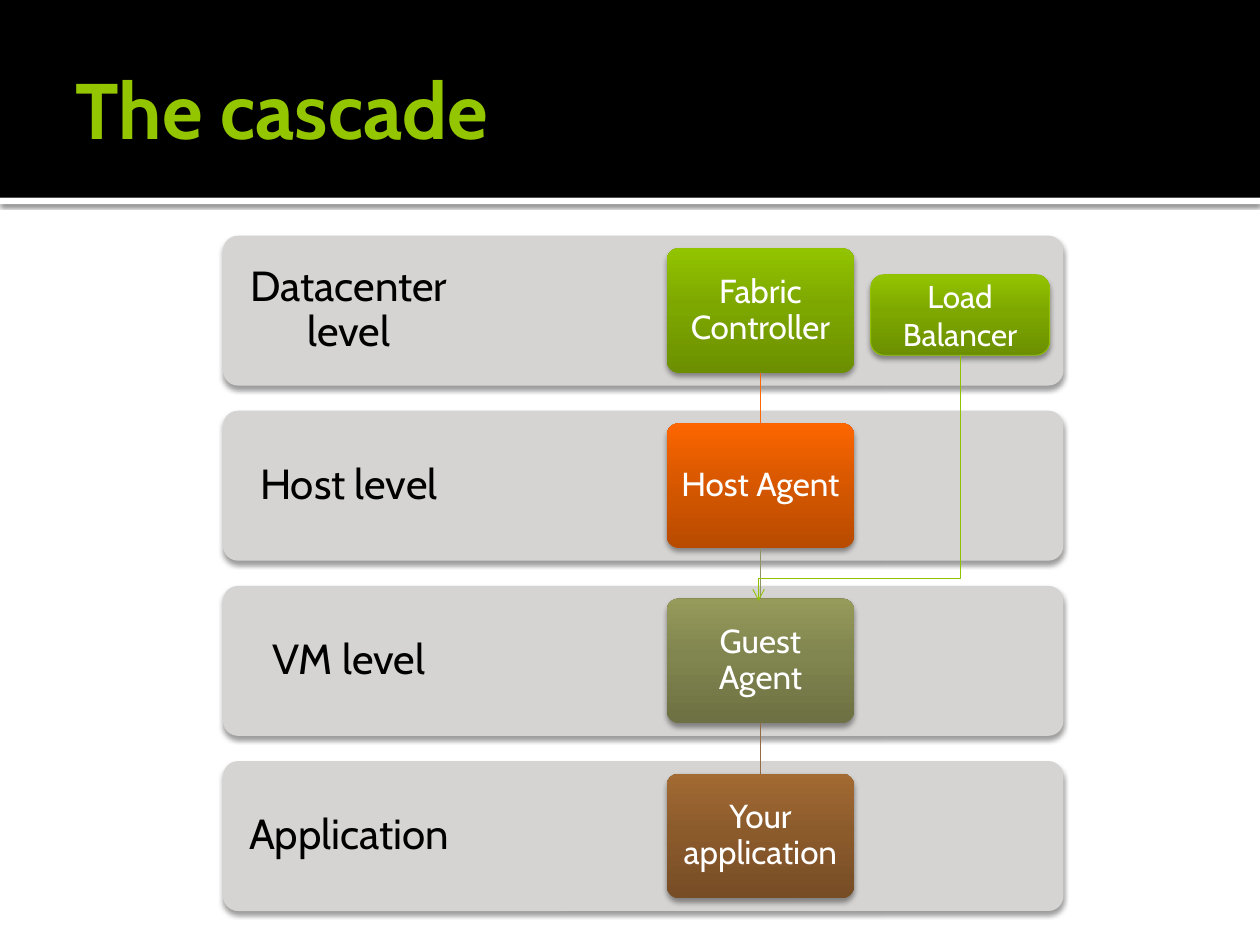
from lxml import etree
from pptx import Presentation
from pptx.dml.color import RGBColor
from pptx.enum import shapes, text
from pptx.oxml import parse_xml
from pptx.oxml.ns import nsdecls, qn
from pptx.util import Inches, Pt

FONT = "Cabin"
BLACK = RGBColor(0x00, 0x00, 0x00)
WHITE = RGBColor(0xFF, 0xFF, 0xFF)
LIME = RGBColor(0x94, 0xC6, 0x00)
LIME_LINE = RGBColor(0x91, 0xC2, 0x00)
BAND_GREY = RGBColor(0xD5, 0xD4, 0xD2)
ORANGE_LINK = RGBColor(0xFF, 0x67, 0x00)
OLIVE_LINK = RGBColor(0x90, 0x94, 0x65)
BROWN_LINK = RGBColor(0x95, 0x6B, 0x43)

# Gradients run from the bottom edge to the top edge
GREEN = [RGBColor.from_string(c) for c in ("6B8F00", "7EA800", "93C400")]
ORANGE = [RGBColor.from_string(c) for c in ("B84B00", "D95800", "FD6600")]
OLIVE = [RGBColor.from_string(c) for c in ("6D7143", "81854F", "969B5B")]
BROWN = [RGBColor.from_string(c) for c in ("774D25", "8C5B2C", "A36A33")]

# Level label, card label, card gradient, colour of the link from the card above
LEVELS = [
    ("Datacenter level", "Fabric Controller", GREEN, None),
    ("Host level", "Host Agent", ORANGE, ORANGE_LINK),
    ("VM level", "Guest Agent", OLIVE, OLIVE_LINK),
    ("Application", "Your application", BROWN, BROWN_LINK),
]
BAND_LEFT, BAND_TOP, BAND_WIDTH, BAND_HEIGHT = 1.77, 1.87, 6.67, 1.19
PITCH = 1.39
CARD_LEFT, CARD_WIDTH, CARD_HEIGHT = 5.29, 1.49, 0.99
CARD_INSET = (BAND_HEIGHT - CARD_HEIGHT) / 2


def add_shadow(shape, blur, distance, opacity):
    shape._element.spPr.append(parse_xml(
        f'<a:effectLst {nsdecls("a")}><a:outerShdw blurRad="{Pt(blur)}" '
        f'dist="{Pt(distance)}" dir="5400000" algn="t" rotWithShape="0">'
        f'<a:srgbClr val="000000"><a:alpha val="{opacity * 1000}"/></a:srgbClr>'
        f'</a:outerShdw></a:effectLst>'))


def fill_gradient(shape, colors):
    shape.fill.gradient()
    shape.fill.gradient_angle = 90
    stops = shape._element.spPr.find(qn("a:gradFill")).find(qn("a:gsLst"))
    for stop in list(stops):
        stops.remove(stop)
    for position, color in zip((0, 55, 100), colors):
        stop = etree.SubElement(stops, qn("a:gs"), pos=str(position * 1000))
        etree.SubElement(stop, qn("a:srgbClr"), val=str(color))


def add_box(slide, left, top, width, height, fill, rounding=None):
    rounded = rounding is not None
    kind = (shapes.MSO_SHAPE.ROUNDED_RECTANGLE if rounded
            else shapes.MSO_SHAPE.RECTANGLE)
    shape = slide.shapes.add_shape(
        kind, Inches(left), Inches(top), Inches(width), Inches(height))
    if rounded:
        shape.adjustments[0] = rounding
    if isinstance(fill, RGBColor):
        shape.fill.solid()
        shape.fill.fore_color.rgb = fill
    else:
        fill_gradient(shape, fill)
    shape.line.fill.background()
    if rounded:
        add_shadow(shape, 3.1, 2, 38)
    else:
        shape.shadow.inherit = False
    return shape


def write_text(shape, words, size, color, margins, centered=True, spacing=None, bold=False):
    frame = shape.text_frame
    frame.word_wrap = True
    frame.vertical_anchor = text.MSO_ANCHOR.MIDDLE
    (frame.margin_left, frame.margin_top,
     frame.margin_right, frame.margin_bottom) = map(Inches, margins)
    paragraph = frame.paragraphs[0]
    paragraph.alignment = text.PP_ALIGN.CENTER if centered else text.PP_ALIGN.LEFT
    paragraph.line_spacing = spacing
    run = paragraph.add_run()
    run.text = words
    run.font.name = FONT
    run.font.size = Pt(size)
    run.font.bold = bold
    run.font.color.rgb = color


def add_text(slide, left, top, width, height, *args, **options):
    box = slide.shapes.add_textbox(
        Inches(left), Inches(top), Inches(width), Inches(height))
    write_text(box, *args, **options)


def add_link(slide, kind, start, end, color):
    link = slide.shapes.add_connector(kind, *map(Inches, (*start, *end)))
    link.line.color.rgb = color
    link.line.width = Pt(0.5)
    etree.SubElement(link._element.spPr, qn("a:effectLst"))
    return link


def add_elbow_arrow(slide, start, end, bend, color):
    """Go down, across and down again: an elbow turned by a quarter."""
    center_x, center_y = (start[0] + end[0]) / 2, (start[1] + end[1]) / 2
    half_drop, half_shift = (end[1] - start[1]) / 2, (start[0] - end[0]) / 2
    arrow = add_link(slide, shapes.MSO_CONNECTOR.ELBOW,
                     (center_x - half_drop, center_y - half_shift),
                     (center_x + half_drop, center_y + half_shift), color)
    properties = arrow._element.spPr
    properties.find(qn("a:xfrm")).set("rot", "5400000")
    guides = properties.find(qn("a:prstGeom")).get_or_add_avLst()
    etree.SubElement(guides, qn("a:gd"), name="adj1", fmla=f"val {round(bend * 100000)}")
    etree.SubElement(properties.find(qn("a:ln")), qn("a:tailEnd"), type="arrow")


def add_header(slide):
    strip = add_box(slide, 0, 1.57, 10, 0.05, WHITE)
    strip._element.spPr.remove(strip._element.spPr.find(qn("a:effectLst")))
    add_shadow(strip, 2.5, 0.8, 60)
    add_box(slide, 0, 0, 10, 1.57, BLACK)
    add_text(slide, 0.5, 0.17, 9, 1.37, "The cascade", 45, LIME,
             (0.1, 0.05, 0.05, 0.05), centered=False, bold=True)


def add_band(slide, top, label):
    add_box(slide, BAND_LEFT, top, BAND_WIDTH, BAND_HEIGHT, BAND_GREY, 0.1)
    add_text(slide, BAND_LEFT, top, 2, BAND_HEIGHT, label, 24, BLACK,
             (0.19,) * 4, spacing=0.9)


def add_card(slide, top, label, gradient, link_color):
    if link_color is not None:
        middle = CARD_LEFT + CARD_WIDTH / 2
        add_link(slide, shapes.MSO_CONNECTOR.STRAIGHT,
                 (middle, top - PITCH + CARD_HEIGHT), (middle, top), link_color)
    card = add_box(slide, CARD_LEFT, top, CARD_WIDTH, CARD_HEIGHT, gradient, 0.1)
    write_text(card, label, 19, WHITE, (0.08,) * 4, spacing=0.9)


def main():
    presentation = Presentation()
    presentation.slide_width, presentation.slide_height = Inches(10), Inches(7.5)
    slide = presentation.slides.add_slide(presentation.slide_layouts[6])
    add_header(slide)

    # Level bands, then the chain of cards on top
    tops = [BAND_TOP + PITCH * row for row in range(len(LEVELS))]
    for top, (level, *_) in zip(tops, LEVELS):
        add_band(slide, top, level)
    for top, (_, label, gradient, link_color) in zip(tops, LEVELS):
        add_card(slide, top + CARD_INSET, label, gradient, link_color)

    # Load balancer with its route to the guest agent
    balancer = add_box(slide, 6.91, 2.18, 1.42, 0.64, GREEN, 0.17)
    balancer.line.color.rgb = LIME_LINE
    balancer.line.width = Pt(0.5)
    write_text(balancer, "Load Balancer", 18, WHITE, (0.1, 0.05, 0.1, 0.05))
    add_elbow_arrow(slide, (7.62, 2.82), (6.02, 4.77), 0.91, LIME_LINE)

    presentation.save("out.pptx")


if __name__ == "__main__":
    main()
